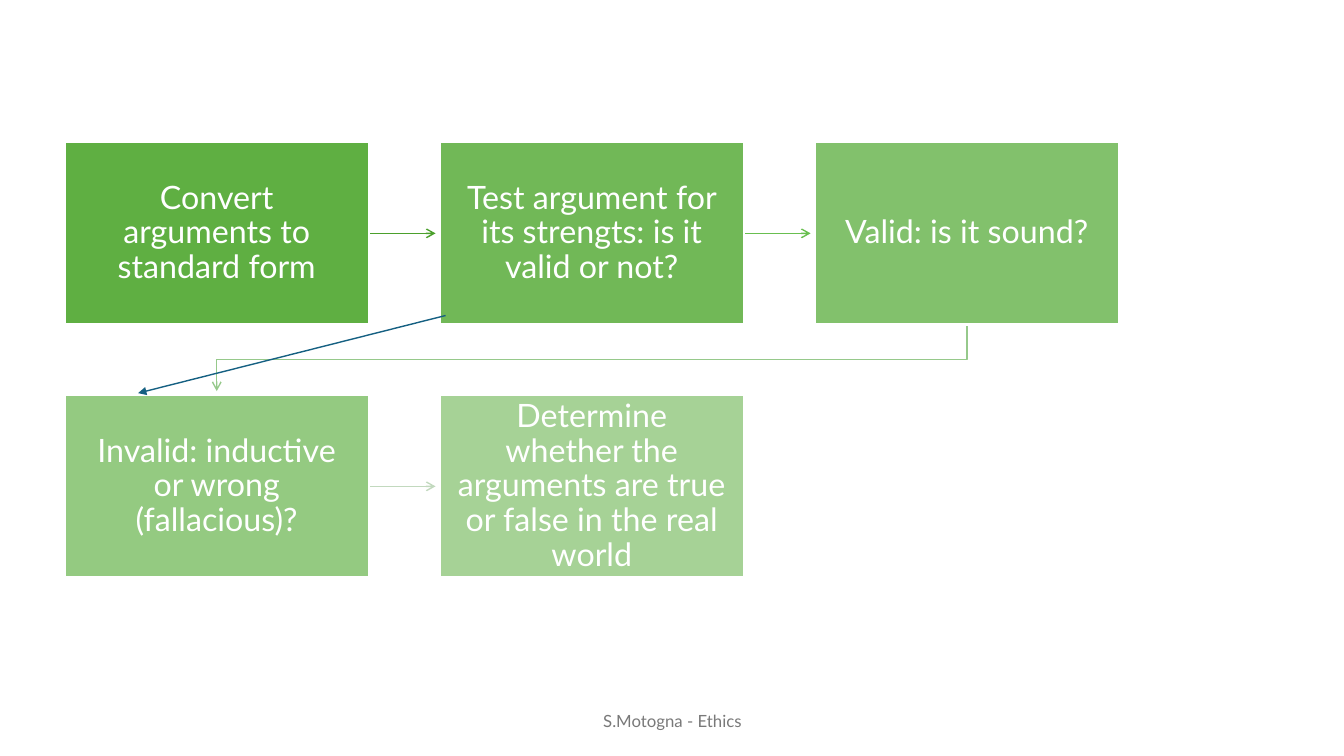
"""Builds a slide with the flow for evaluating an argument."""
from pptx import Presentation
from pptx.dml.color import RGBColor
from pptx.enum import shapes, text
from pptx.oxml import ns, xmlchemy
from pptx.util import Inches, Pt

COLORS = {
    "step": "4EA72E", "white": "FFFFFF", "footer": "797979", "invalid": "156082",
    "to_test": "4BA02C", "to_sound": "69BF50", "to_invalid": "96C98B", "to_real": "C2D9BE",
}
FONT = "Lato"
LEFT, TOP, WIDTH, HEIGHT = 0.64, 1.41, 3.02, 1.81
COLUMN_STEP, ROW_STEP, COLUMNS = 3.72, 2.51, 3
STEPS = [
    "Convert arguments to standard form",
    "Test argument for its strengts: is it valid or not?",
    "Valid: is it sound?",
    "Invalid: inductive or wrong (fallacious)?",
    "Determine whether the arguments are true or false in the real world",
]


def style_arrow(arrow, color, head):
    arrow.line.color.rgb = RGBColor.from_string(COLORS[color])
    arrow.line.width = Pt(1)
    line = arrow.line._get_or_add_ln()
    line.append(xmlchemy.OxmlElement("a:tailEnd"))
    line[-1].set("type", head)
    arrow.element.spPr.append(xmlchemy.OxmlElement("a:effectLst"))


def write(box, words, size, color):
    frame = box.text_frame
    frame.word_wrap = True
    frame.vertical_anchor = text.MSO_ANCHOR.MIDDLE
    frame.text = words
    para = frame.paragraphs[0]
    para.alignment = text.PP_ALIGN.CENTER
    span = para.runs[0]
    span.font.name = FONT
    span.font.size = Pt(size)
    span.font.color.rgb = RGBColor.from_string(COLORS[color])


deck = Presentation()
deck.slide_width, deck.slide_height = Inches(13.33), Inches(7.5)
page = deck.slides.add_slide(deck.slide_layouts[6])

footer = page.shapes.add_textbox(Inches(4.42), Inches(6.95), Inches(4.5), Inches(0.4))
write(footer, "S.Motogna - Ethics", 12, "footer")

for color, column, row in [("to_test", 0, 0), ("to_sound", 1, 0), ("to_real", 0, 1)]:
    start = LEFT + column * COLUMN_STEP + WIDTH
    middle = Inches(TOP + row * ROW_STEP + HEIGHT / 2)
    arrow = page.shapes.add_connector(
        shapes.MSO_CONNECTOR.STRAIGHT, Inches(start), middle, Inches(start + 0.66), middle)
    style_arrow(arrow, color, "arrow")

first_center = LEFT + WIDTH / 2
last_center = first_center + 2 * COLUMN_STEP
bottom, turn, end = TOP + HEIGHT, 3.57, 3.88
builder = page.shapes.build_freeform(Inches(last_center), Inches(bottom))
corners = [(last_center, turn), (first_center, turn), (first_center, end)]
builder.add_line_segments([(Inches(x), Inches(y)) for x, y in corners], close=False)
elbow = builder.convert_to_shape()
elbow.fill.background()
style_arrow(elbow, "to_invalid", "arrow")

for index, words in enumerate(STEPS):
    row, column = divmod(index, COLUMNS)
    box = page.shapes.add_shape(
        shapes.MSO_SHAPE.RECTANGLE,
        Inches(LEFT + column * COLUMN_STEP), Inches(TOP + row * ROW_STEP),
        Inches(WIDTH), Inches(HEIGHT))
    box.shadow.inherit = False
    box.fill.solid()
    box.fill.fore_color.rgb = RGBColor.from_string(COLORS["step"])
    alpha = xmlchemy.OxmlElement("a:alpha")
    alpha.set("val", str(90000 - index * 10000))
    box.element.spPr.find(ns.qn("a:solidFill"))[0].append(alpha)
    box.line.color.rgb = RGBColor.from_string(COLORS["white"])
    box.line.width = Pt(1.5)
    write(box, words, 23, "white")
    frame = box.text_frame
    frame.margin_left = frame.margin_right = Inches(0.18)
    frame.margin_top = frame.margin_bottom = Inches(0.18)
    frame.paragraphs[0].line_spacing = 0.9

invalid_arrow = page.shapes.add_connector(
    shapes.MSO_CONNECTOR.STRAIGHT, Inches(4.42), Inches(3.13), Inches(1.37), Inches(3.9))
style_arrow(invalid_arrow, "invalid", "triangle")

deck.save("out.pptx")
